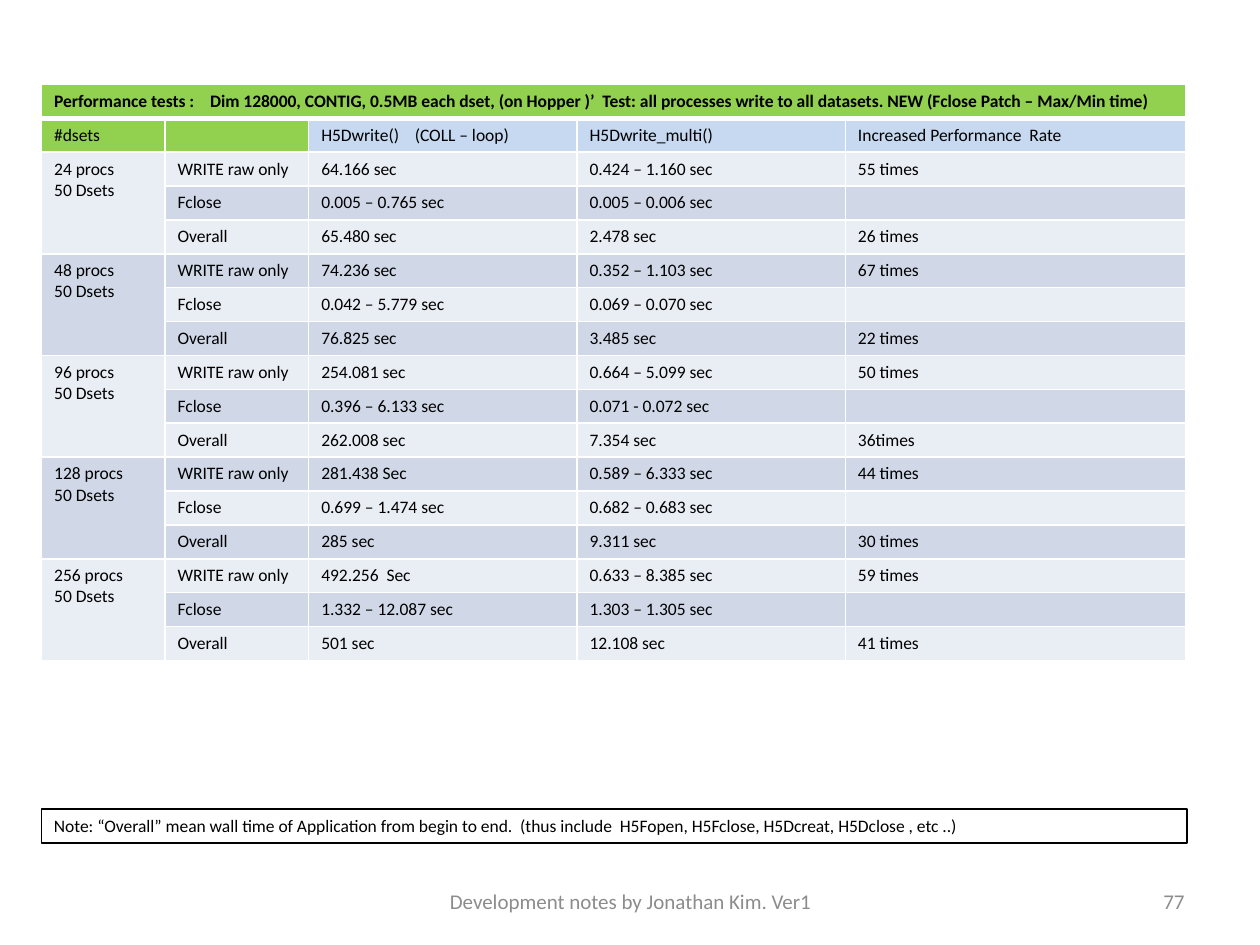
from dataclasses import dataclass
from typing import Optional

from lxml.etree import SubElement
from pptx import Presentation
from pptx.dml.color import RGBColor
from pptx.enum.shapes import MSO_SHAPE
from pptx.enum.text import MSO_ANCHOR, PP_ALIGN
from pptx.oxml.ns import qn
from pptx.util import Inches, Pt

BLACK = RGBColor(0x00, 0x00, 0x00)
WHITE = RGBColor(0xFF, 0xFF, 0xFF)
GRAY = RGBColor(0x8C, 0x8C, 0x8C)
GREEN = RGBColor(0x92, 0xD0, 0x50)
BLUE = RGBColor(0xC6, 0xD9, 0xF1)
BANDS = (RGBColor(0xE9, 0xED, 0xF4), RGBColor(0xD0, 0xD8, 0xE8))

FONT = "Calibri"
COLS = (0.98, 1.14, 2.13, 2.13, 2.7)
ROW = 4.53 / 17
TESTS = ("WRITE raw only", "Fclose", "Overall")
TITLE = (
    "Performance tests :    Dim 128000, CONTIG, 0.5MB each dset, (on Hopper )’  "
    "Test: all processes write to all datasets. NEW (Fclose Patch – Max/Min time)"
)
HEADS = (
    "#dsets", "", "H5Dwrite()    (COLL – loop)",
    "H5Dwrite_multi()", "Increased Performance  Rate",
)
NOTE = (
    "Note: “Overall” mean wall time of Application from begin to end.  "
    "(thus include  H5Fopen, H5Fclose, H5Dcreat, H5Dclose , etc ..)"
)


@dataclass(frozen=True)
class Group:
    procs: str
    loop: tuple[str, str, str]
    multi: tuple[str, str, str]
    rate: tuple[str, str, str]


@dataclass(frozen=True)
class Label:
    text: str
    left: float
    width: float
    align: PP_ALIGN


GROUPS = (
    Group("24 procs", ("64.166 sec", "0.005 – 0.765 sec", "65.480 sec"),
          ("0.424 – 1.160 sec", "0.005 – 0.006 sec", "2.478 sec"),
          ("55 times", "", "26 times")),
    Group("48 procs", ("74.236 sec", "0.042 – 5.779 sec", "76.825 sec"),
          ("0.352 – 1.103 sec", "0.069 – 0.070 sec", "3.485 sec"),
          ("67 times", "", "22 times")),
    Group("96 procs", ("254.081 sec", "0.396 – 6.133 sec", "262.008 sec"),
          ("0.664 – 5.099 sec", "0.071 - 0.072 sec", "7.354 sec"),
          ("50 times", "", "36times")),
    Group("128 procs", ("281.438 Sec", "0.699 – 1.474 sec", "285 sec"),
          ("0.589 – 6.333 sec", "0.682 – 0.683 sec", "9.311 sec"),
          ("44 times", "", "30 times")),
    Group("256 procs", ("492.256  Sec", "1.332 – 12.087 sec", "501 sec"),
          ("0.633 – 8.385 sec", "1.303 – 1.305 sec", "12.108 sec"),
          ("59 times", "", "41 times")),
)
LABELS = (
    Label("Development notes by Jonathan Kim. Ver1", 3.42, 3.17, PP_ALIGN.CENTER),
    Label("77", 7.17, 2.33, PP_ALIGN.RIGHT),
)


def add_run(para, text: str, size: int, color: RGBColor,
            bold: Optional[bool] = None) -> None:
    run = para.add_run()
    run.text = text
    run.font.name = FONT
    run.font.size = Pt(size)
    run.font.color.rgb = color
    run.font.bold = bold


def set_edge(cell, side: str, width: int) -> None:
    props = cell._tc.get_or_add_tcPr()
    line = SubElement(props, qn(f"a:{side}"), w=str(Pt(width)))
    fill = SubElement(line, qn("a:solidFill"))
    SubElement(fill, qn("a:srgbClr"), val=str(WHITE))


def fill_cell(cell, lines: tuple[str, ...], color: RGBColor,
              bold: bool = False, base: int = 1) -> None:
    for side, width in (("lnL", 1), ("lnR", 1), ("lnT", 1), ("lnB", base)):
        set_edge(cell, side, width)
    cell.fill.solid()
    cell.fill.fore_color.rgb = color
    frame = cell.text_frame
    for i, line in enumerate(lines):
        para = frame.add_paragraph() if i else frame.paragraphs[0]
        if line:
            add_run(para, line, 10, BLACK, bold)
        else:
            SubElement(para._p, qn("a:endParaRPr"), sz="1000")


def draw_table(slide) -> None:
    count = 2 + len(GROUPS) * len(TESTS)
    table = slide.shapes.add_table(
        count, len(COLS), Inches(0.33), Inches(0.67),
        Inches(sum(COLS)), Inches(ROW * count)).table
    for col, width in zip(table.columns, COLS):
        col.width = Inches(width)
    for row in table.rows:
        row.height = Inches(ROW)

    for c, head in enumerate(HEADS):
        fill_cell(table.cell(0, c), ("" if c else TITLE,), GREEN, True, 3)
        fill_cell(table.cell(1, c), (head,), GREEN if c < 2 else BLUE)
    table.cell(0, 0).merge(table.cell(0, len(COLS) - 1))

    for g, group in enumerate(GROUPS):
        top = 2 + g * len(TESTS)
        data = zip(TESTS, group.loop, group.multi, group.rate)
        for r, values in enumerate(data, top):
            band = BANDS[r % 2]
            lines = (group.procs, "50 Dsets") if r == top else ("",)
            fill_cell(table.cell(r, 0), lines, band)
            for c, value in enumerate(values, 1):
                fill_cell(table.cell(r, c), (value,), band)
        table.cell(top, 0).merge(table.cell(top + len(TESTS) - 1, 0))


def draw_note(slide) -> None:
    box = slide.shapes.add_shape(
        MSO_SHAPE.RECTANGLE, Inches(0.33), Inches(6.42), Inches(9.09), Inches(0.27))
    box.shadow.inherit = False
    box.fill.background()
    box.line.color.rgb = BLACK
    box.line.width = Pt(0.75)
    frame = box.text_frame
    frame.word_wrap = True
    frame.vertical_anchor = MSO_ANCHOR.TOP
    para = frame.paragraphs[0]
    para.alignment = PP_ALIGN.LEFT
    add_run(para, NOTE, 10, BLACK)


def draw_label(slide, label: Label) -> None:
    box = slide.shapes.add_textbox(
        Inches(label.left), Inches(6.95), Inches(label.width), Inches(0.4))
    frame = box.text_frame
    frame.word_wrap = True
    frame.vertical_anchor = MSO_ANCHOR.MIDDLE
    para = frame.paragraphs[0]
    para.alignment = label.align
    add_run(para, label.text, 12, GRAY)


def main() -> None:
    deck = Presentation()
    deck.slide_width = Inches(10)
    deck.slide_height = Inches(7.5)
    slide = deck.slides.add_slide(deck.slide_layouts[6])
    draw_table(slide)
    draw_note(slide)
    for label in LABELS:
        draw_label(slide, label)
    deck.save("out.pptx")


if __name__ == "__main__":
    main()
